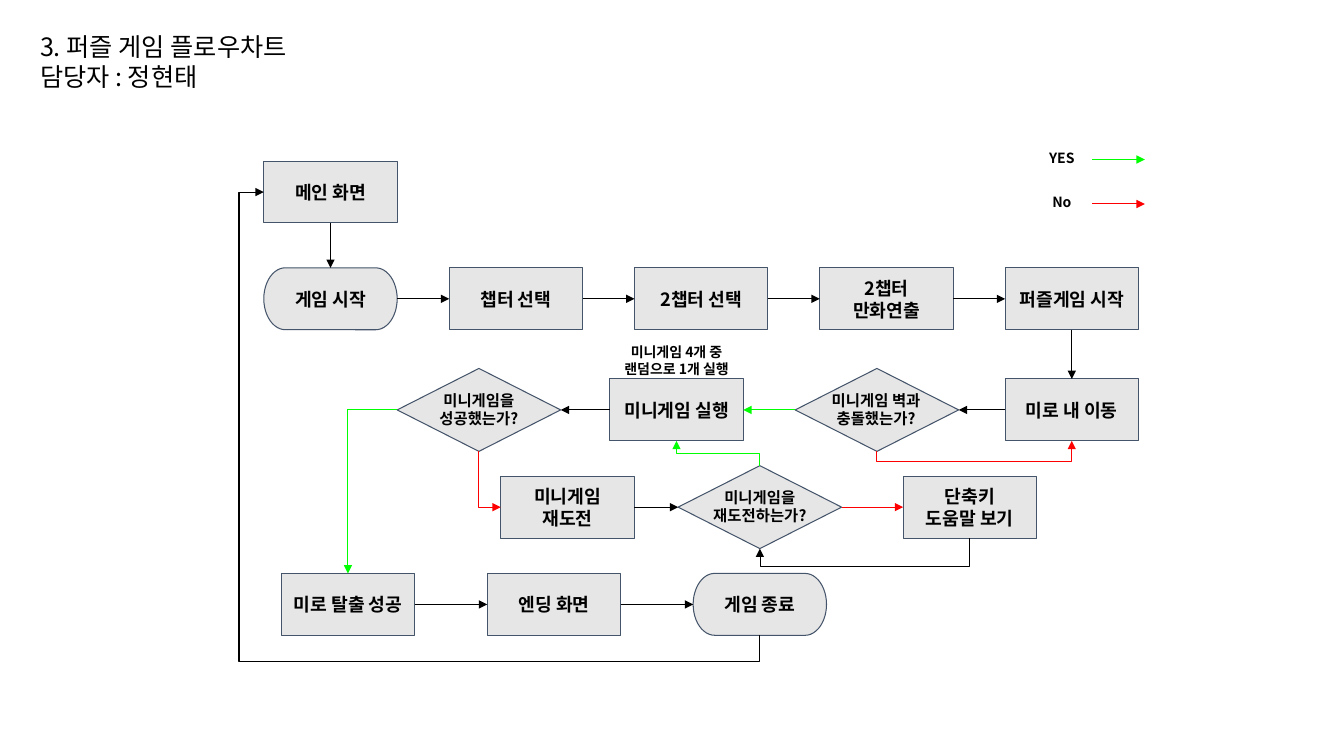
import pptx
import pptx.dml.color
import pptx.enum.shapes
import pptx.enum.text
import pptx.oxml
import pptx.oxml.ns
import pptx.util
from pptx.util import Cm

BLACK = pptx.dml.color.RGBColor(0x00, 0x00, 0x00)
GRAY = pptx.dml.color.RGBColor(0xE7, 0xE6, 0xE6)
SLATE = pptx.dml.color.RGBColor(0x44, 0x54, 0x6A)
GREEN = pptx.dml.color.RGBColor(0x00, 0xFF, 0x00)
RED = pptx.dml.color.RGBColor(0xFF, 0x00, 0x00)
FONT = "Noto Sans CJK KR"
SHAPES = pptx.enum.shapes.MSO_SHAPE
STRAIGHT = pptx.enum.shapes.MSO_CONNECTOR.STRAIGHT
CENTER = pptx.enum.text.PP_ALIGN.CENTER
TOP, LEFT, BOTTOM, RIGHT = range(4)  # connection sites

BOX_SIZE = (3.36, 1.56)
DIAMOND_SIZE = (4.12, 2.09)
FIRST_COLUMN, COLUMN_STEP = 8.33, 4.67
END_COLUMN, END_STEP = 8.77, 5.19
MAIN_ROW, START_ROW, MAZE_ROW, RETRY_ROW, END_ROW = 4.84, 7.53, 10.33, 12.78, 15.23
LAST_COLUMN = FIRST_COLUMN + 4 * COLUMN_STEP
RETRY_COLUMN = END_COLUMN + 2 * END_STEP

presentation = pptx.Presentation()
presentation.slide_width = Cm(33.87)
presentation.slide_height = Cm(19.05)
slide = presentation.slides.add_slide(presentation.slide_layouts[6])


def write_text(shape, text, size, bold=True, alignment=CENTER, inset=0.25):
    """Fill a shape with one paragraph for each line of text."""
    frame = shape.text_frame
    frame.word_wrap = True
    frame.margin_left = frame.margin_right = Cm(0.25)
    frame.margin_top = frame.margin_bottom = Cm(inset)
    for index, line in enumerate(text.split("\n")):
        paragraph = frame.add_paragraph() if index else frame.paragraphs[0]
        paragraph.alignment = alignment
        run = paragraph.add_run()
        run.text = line
        run.font.name = FONT
        run.font.size = pptx.util.Pt(size)
        run.font.bold = bold
        run.font.color.rgb = BLACK
        properties = run.font._element
        east_asian = pptx.oxml.parse_xml(
            f'<a:ea {pptx.oxml.ns.nsdecls("a")} typeface="{FONT}"/>')
        properties.find(pptx.oxml.ns.qn("a:latin")).addnext(east_asian)


def add_arrow(start, end, color, width=0.75):
    """Draw a straight arrow between two (x, y) points in centimetres."""
    arrow = slide.shapes.add_connector(STRAIGHT, *map(Cm, start + end))
    arrow.line.color.rgb = color
    arrow.line.width = pptx.util.Pt(width)
    namespace = pptx.oxml.ns.nsdecls("a")
    arrow.line._get_or_add_ln().append(
        pptx.oxml.parse_xml(f'<a:tailEnd {namespace} type="triangle"/>'))
    arrow._element.spPr.append(pptx.oxml.parse_xml(f"<a:effectLst {namespace}/>"))
    return arrow


# Title
title = slide.shapes.add_textbox(Cm(0.76), Cm(0.66), Cm(9.25), Cm(1.8))
write_text(title, "3. 퍼즐 게임 플로우차트\n담당자 : 정현태", 18, False,
           pptx.enum.text.PP_ALIGN.LEFT, 0.13)

# Flowchart nodes: name, preset, centre x, centre y, text
nodes = [
    ("main", SHAPES.RECTANGLE, FIRST_COLUMN, MAIN_ROW, "메인 화면"),
    ("maze", SHAPES.RECTANGLE, LAST_COLUMN, MAZE_ROW, "미로 내 이동"),
    ("hit", SHAPES.FLOWCHART_DECISION, 22.1, MAZE_ROW, ""),
    ("minigame", SHAPES.RECTANGLE, 17.05, MAZE_ROW, "미니게임 실행"),
    ("success", SHAPES.FLOWCHART_DECISION, 12.07, MAZE_ROW, ""),
    ("retry", SHAPES.RECTANGLE, 14.3, RETRY_ROW, "미니게임 재도전"),
    ("again", SHAPES.FLOWCHART_DECISION, RETRY_COLUMN, RETRY_ROW, ""),
    ("help", SHAPES.RECTANGLE, 24.44, RETRY_ROW, "단축키\n도움말 보기"),
]
start_row = [("start", "게임 시작"), ("chapter", "챕터 선택"), ("chapter2", "2챕터 선택"),
             ("comic", "2챕터 만화연출"), ("puzzle", "퍼즐게임 시작")]
end_row = [("escape", "미로 탈출 성공"), ("ending", "엔딩 화면"), ("finish", "게임 종료")]
for row, first, step, y in ((start_row, FIRST_COLUMN, COLUMN_STEP, START_ROW),
                            (end_row, END_COLUMN, END_STEP, END_ROW)):
    for index, (name, text) in enumerate(row):
        preset = (SHAPES.FLOWCHART_TERMINATOR if name in ("start", "finish")
                  else SHAPES.RECTANGLE)
        nodes.append((name, preset, first + index * step, y, text))

chart = {}
for name, preset, x, y, text in nodes:
    width, height = DIAMOND_SIZE if preset == SHAPES.FLOWCHART_DECISION else BOX_SIZE
    shape = slide.shapes.add_shape(
        preset, Cm(x - width / 2), Cm(y - height / 2), Cm(width), Cm(height))
    shape.shadow.inherit = False
    shape.fill.solid()
    shape.fill.fore_color.rgb = GRAY
    shape.line.color.rgb = SLATE
    shape.line.width = pptx.util.Pt(0.75)
    if text:
        shape.text_frame.vertical_anchor = pptx.enum.text.MSO_ANCHOR.MIDDLE
        write_text(shape, text, 13)
    chart[name] = shape

# Labels: centre x, top, width, height, size, text
labels = [
    (22.08, 9.6, 3.1, 1.45, 11, "미니게임 벽과 충돌했는가?"),
    (12.07, 9.6, 3.23, 1.45, 11, "미니게임을\n성공했는가?"),
    (RETRY_COLUMN, 12.04, 3.23, 1.45, 11, "미니게임을\n재도전하는가?"),
    (17.05, 8.41, 3.61, 1.37, 10, "미니게임 4개 중 랜덤으로 1개 실행"),
    (26.76, 3.56, 1.3, 0.94, 10, "YES"),
    (26.76, 4.67, 1.3, 0.94, 10, "No"),
]
for x, top, width, height, size, text in labels:
    label = slide.shapes.add_textbox(Cm(x - width / 2), Cm(top), Cm(width), Cm(height))
    write_text(label, text, size)

# Legend arrows
for y, color in ((4.02, GREEN), (5.14, RED)):
    add_arrow((27.53, y), (28.85, y), color)

# Straight arrows
straight_links = [
    ("main", BOTTOM, "start", TOP, BLACK),
    ("start", RIGHT, "chapter", LEFT, BLACK),
    ("chapter", RIGHT, "chapter2", LEFT, BLACK),
    ("chapter2", RIGHT, "comic", LEFT, BLACK),
    ("comic", RIGHT, "puzzle", LEFT, BLACK),
    ("puzzle", BOTTOM, "maze", TOP, BLACK),
    ("maze", LEFT, "hit", RIGHT, BLACK),
    ("hit", LEFT, "minigame", RIGHT, GREEN),
    ("minigame", LEFT, "success", RIGHT, BLACK),
    ("retry", RIGHT, "again", LEFT, BLACK),
    ("again", RIGHT, "help", LEFT, RED),
    ("escape", RIGHT, "ending", LEFT, BLACK),
    ("ending", RIGHT, "finish", LEFT, BLACK),
]
for source, source_site, target, target_site, color in straight_links:
    arrow = add_arrow((0, 0), (1, 1), color)
    arrow.begin_connect(chart[source], source_site)
    arrow.end_connect(chart[target], target_site)

# Bent arrows: ends, colour, width, preset, rotation, mirrored, bend positions
bent_links = [
    ("hit", BOTTOM, "maze", BOTTOM, RED, 0.75, "bentConnector3", 270, False, [-0.96]),
    ("success", LEFT, "escape", TOP, GREEN, 0.75, "bentConnector2", 0, True, []),
    ("success", BOTTOM, "retry", LEFT, RED, 0.75, "bentConnector2", 270, True, []),
    ("finish", BOTTOM, "main", LEFT, BLACK, 0.75, "bentConnector4", 90, True,
     [-0.06, 1.05]),
    ("again", TOP, "minigame", BOTTOM, GREEN, 0.75, "bentConnector3", 90, True, [0.5]),
    ("help", BOTTOM, "again", BOTTOM, BLACK, 0.5, "bentConnector3", 90, False, [2.68]),
]
for (source, source_site, target, target_site, color, line_width,
     preset, rotation, mirrored, bends) in bent_links:
    arrow = add_arrow((0, 0), (1, 1), color, line_width)
    arrow.begin_connect(chart[source], source_site)
    arrow.end_connect(chart[target], target_site)
    if rotation:
        # A quarter turn swaps width and height about the same centre.
        shift = (arrow.width - arrow.height) // 2
        arrow.left, arrow.top = arrow.left + shift, arrow.top - shift
        arrow.width, arrow.height = arrow.height, arrow.width
    transform = arrow._element.spPr.find(pptx.oxml.ns.qn("a:xfrm"))
    transform.set("rot", str(rotation * 60000))
    transform.set("flipH", str(int(mirrored)))
    transform.set("flipV", "0")
    geometry = arrow._element.spPr.find(pptx.oxml.ns.qn("a:prstGeom"))
    geometry.set("prst", preset)
    adjustments = geometry.find(pptx.oxml.ns.qn("a:avLst"))
    for number, bend in enumerate(bends, 1):
        adjustments.append(pptx.oxml.parse_xml(
            f'<a:gd {pptx.oxml.ns.nsdecls("a")} name="adj{number}" '
            f'fmla="val {round(bend * 100000)}"/>'))

presentation.save("out.pptx")
